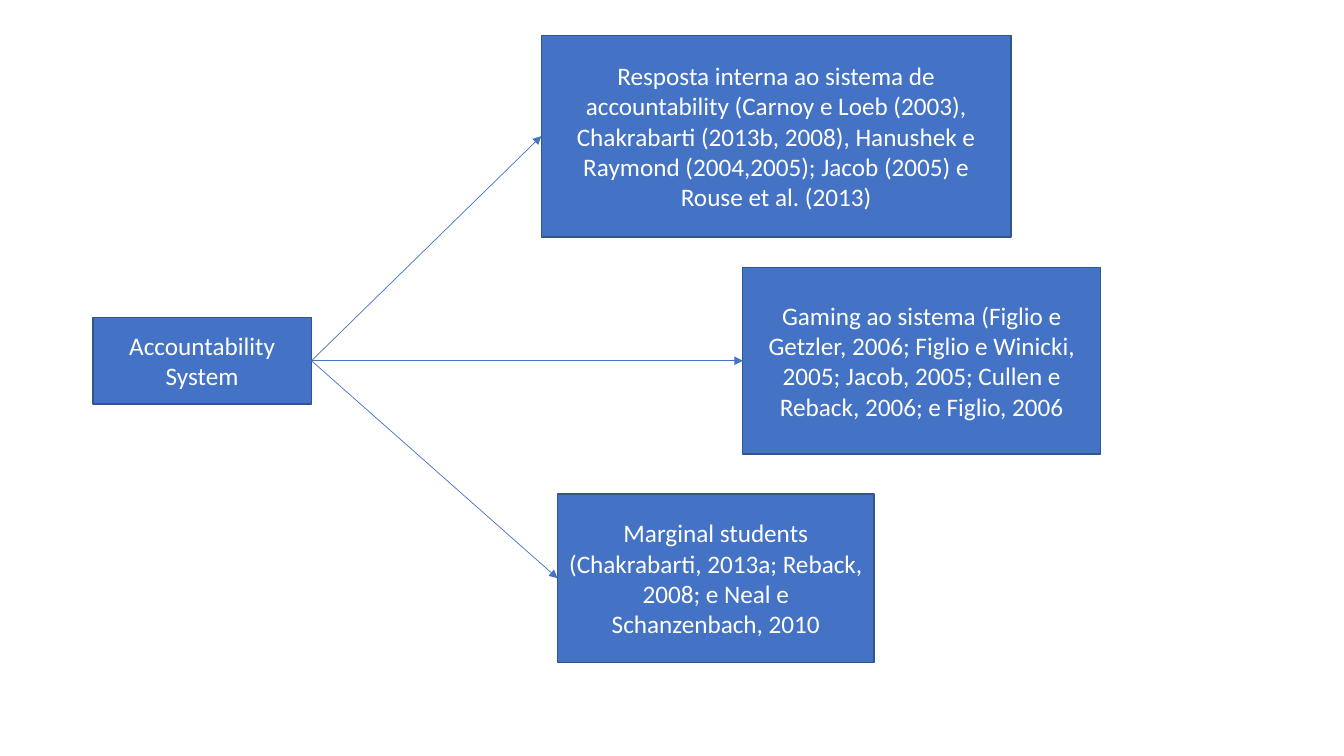
"""Build a slide linking an accountability system to three kinds of response."""
from dataclasses import dataclass

from lxml.etree import SubElement
from pptx import Presentation
from pptx.dml.color import RGBColor
from pptx.enum.shapes import MSO_CONNECTOR, MSO_SHAPE
from pptx.enum.text import MSO_ANCHOR, PP_ALIGN
from pptx.oxml.ns import qn
from pptx.shapes.autoshape import Shape
from pptx.slide import Slide
from pptx.util import Cm, Pt


@dataclass(frozen=True)
class Theme:
    fill: RGBColor = RGBColor(0x44, 0x72, 0xC4)
    outline: RGBColor = RGBColor(0x32, 0x54, 0x91)
    text: RGBColor = RGBColor(0xFF, 0xFF, 0xFF)
    font: str = "Calibri"
    text_size: float = 18
    outline_width: float = 1
    arrow_width: float = 0.5


@dataclass(frozen=True)
class Box:
    left: float
    top: float
    width: float
    height: float
    text: str


THEME = Theme()
LEFT_SITE, RIGHT_SITE = 1, 3

SYSTEM = Box(2.34, 8, 5.51, 2.18, "Accountability System")
RESPONSES = (
    Box(13.64, 0.89, 11.84, 5.08,
        "Resposta interna ao sistema de accountability (Carnoy e Loeb (2003), "
        "Chakrabarti (2013b, 2008), Hanushek e Raymond (2004,2005); "
        "Jacob (2005) e Rouse et al. (2013)"),
    Box(18.72, 6.74, 9.02, 4.7,
        "Gaming ao sistema (Figlio e Getzler, 2006; Figlio e Winicki, 2005; "
        "Jacob, 2005; Cullen e Reback, 2006; e Figlio, 2006"),
    Box(14.05, 12.45, 7.98, 4.24,
        "Marginal students (Chakrabarti, 2013a; Reback, 2008; "
        "e Neal e Schanzenbach, 2010"),
)


def apply_format(target: object, values: dict[str, object]) -> None:
    for name, value in values.items():
        setattr(target, name, value)


def draw_box(page: Slide, box: Box) -> Shape:
    shape = page.shapes.add_shape(
        MSO_SHAPE.RECTANGLE,
        Cm(box.left), Cm(box.top), Cm(box.width), Cm(box.height))
    shape.shadow.inherit = False
    shape.fill.solid()
    shape.fill.fore_color.rgb = THEME.fill
    shape.line.color.rgb = THEME.outline
    shape.line.width = Pt(THEME.outline_width)
    apply_format(shape.text_frame,
                 {"word_wrap": True, "vertical_anchor": MSO_ANCHOR.MIDDLE})
    para = shape.text_frame.paragraphs[0]
    para.alignment = PP_ALIGN.CENTER
    span = para.add_run()
    span.text = box.text
    apply_format(span.font, {"name": THEME.font, "size": Pt(THEME.text_size)})
    span.font.color.rgb = THEME.text
    return shape


def draw_arrow(page: Slide, source: Shape, target: Shape) -> None:
    arrow = page.shapes.add_connector(MSO_CONNECTOR.STRAIGHT, 0, 0, 0, 0)
    arrow.begin_connect(source, RIGHT_SITE)
    arrow.end_connect(target, LEFT_SITE)
    arrow.line.color.rgb = THEME.fill
    arrow.line.width = Pt(THEME.arrow_width)
    properties = arrow.element.spPr
    SubElement(properties.find(qn("a:ln")), qn("a:tailEnd"), type="triangle")
    SubElement(properties, qn("a:effectLst"))


def main() -> None:
    deck = Presentation()
    apply_format(deck, {"slide_width": Cm(33.87), "slide_height": Cm(19.05)})
    page = deck.slides.add_slide(deck.slide_layouts.get_by_name("Blank"))
    system = draw_box(page, SYSTEM)
    responses = [draw_box(page, box) for box in RESPONSES]
    for response in responses:
        draw_arrow(page, system, response)
    deck.save("out.pptx")


if __name__ == "__main__":
    main()
